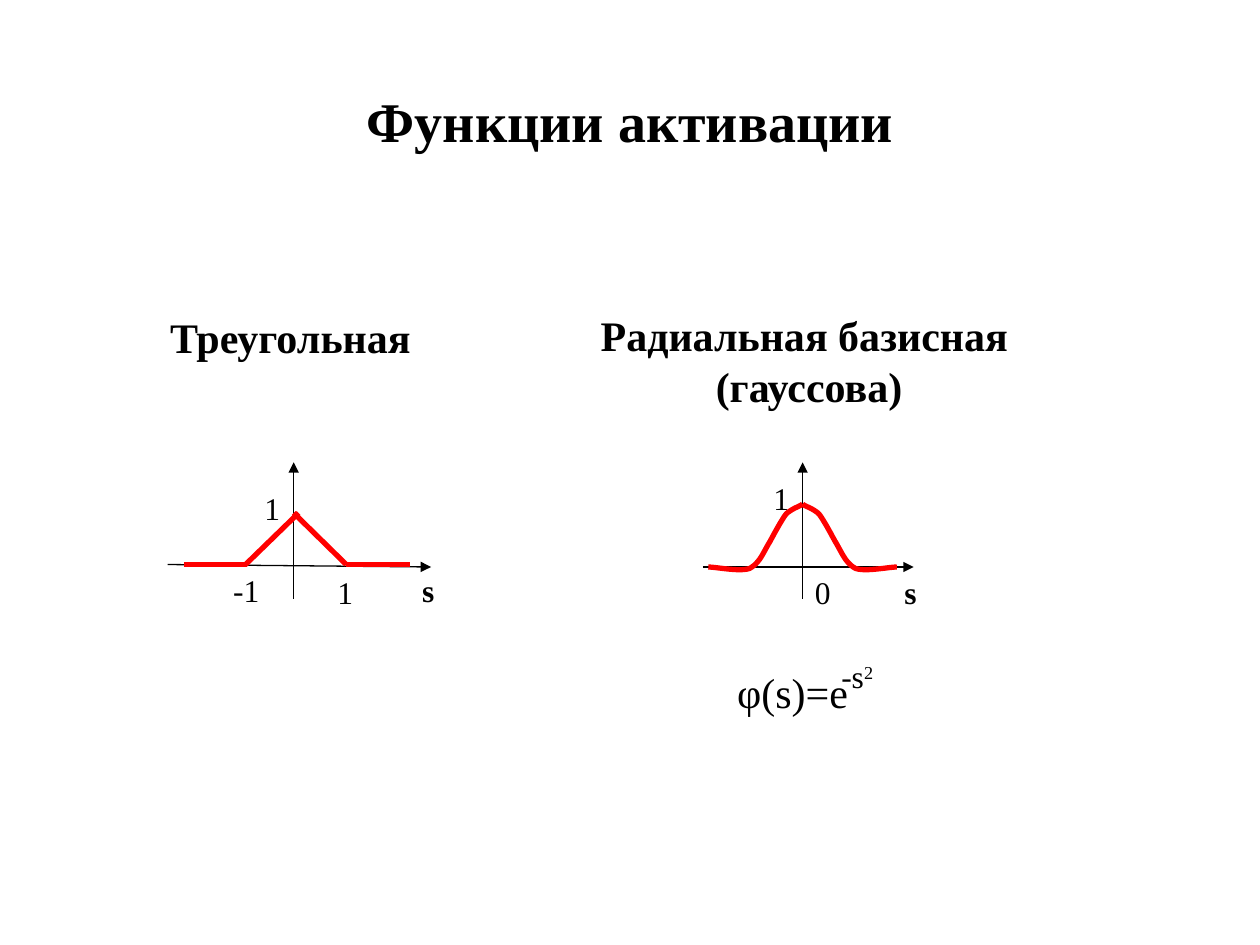
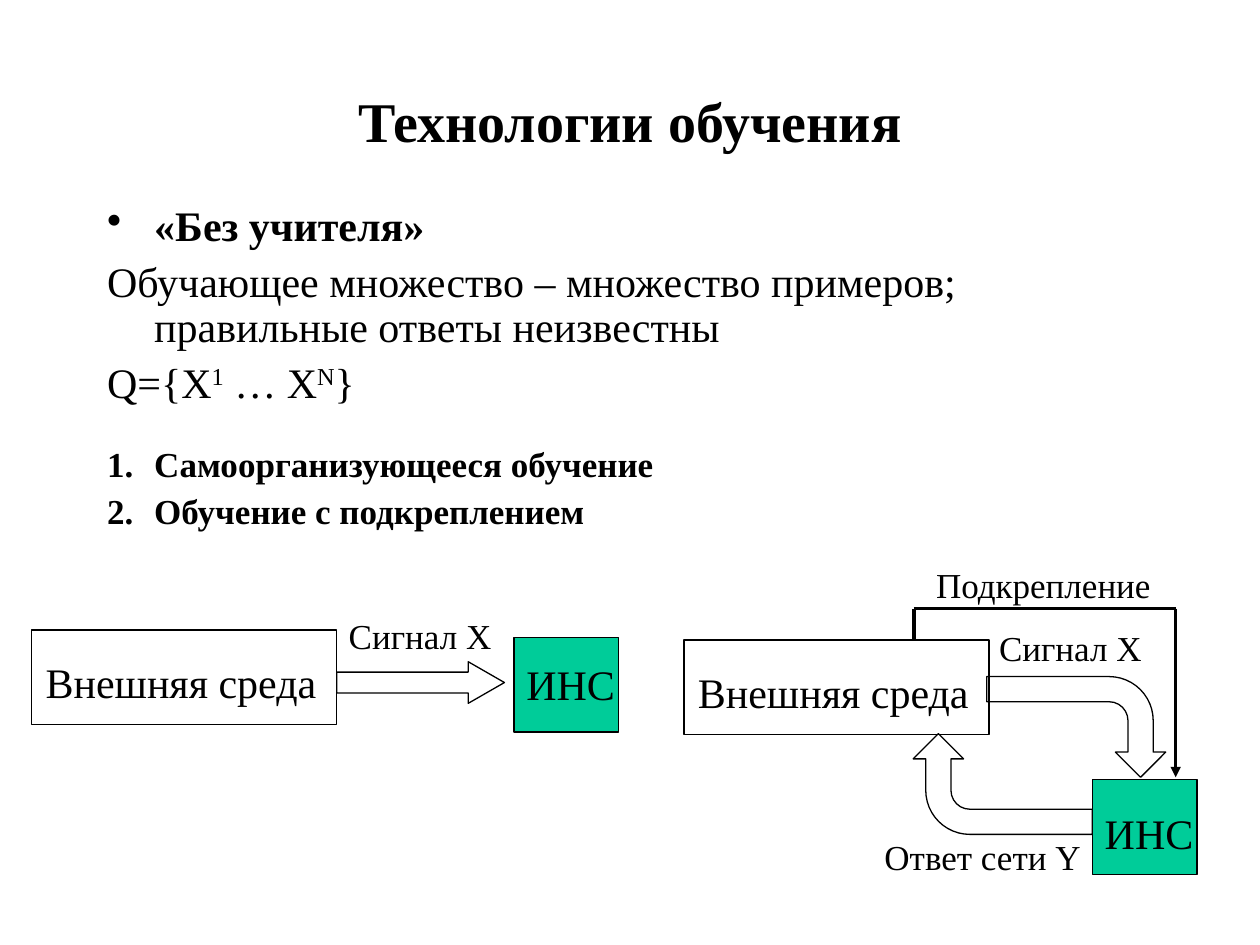
from dataclasses import dataclass

from lxml.etree import SubElement
from pptx import Presentation
from pptx.dml.color import RGBColor
from pptx.enum.shapes import MSO_CONNECTOR as Link, MSO_SHAPE as Shape
from pptx.enum.text import MSO_ANCHOR as Anchor, MSO_AUTO_SIZE as Fit, PP_ALIGN as Align
from pptx.oxml.ns import qn
from pptx.util import Cm, Pt


@dataclass(frozen=True)
class Theme:
    font: str = "Times New Roman"
    ink: RGBColor = RGBColor(0x00, 0x00, 0x00)
    curve: RGBColor = RGBColor(0xFF, 0x00, 0x00)
    network: RGBColor = RGBColor(0x00, 0xCC, 0x99)
    title: int = 32
    text: int = 24
    label: int = 20
    mark: int = 18
    thin: float = 0.75
    medium: float = 2
    thick: float = 3


THEME = Theme()
GAUSS_START = (-1.9, 0)
GAUSS_CURVES = [
    ((-1.75, 0), (-1.27, 0.1), (-1.07, 0.03)),
    ((-0.86, -0.08), (-0.79, -0.3), (-0.66, -0.51)),
    ((-0.56, -0.69), (-0.43, -0.94), (-0.33, -1.07)),
    ((-0.2, -1.19), (-0.05, -1.22), (0, -1.27)),
]


def add_frame(slide, left, top, width, height, grow=True):
    frame = slide.shapes.add_textbox(Cm(left), Cm(top), Cm(width), Cm(height)).text_frame
    frame.word_wrap = True
    frame.auto_size = Fit.SHAPE_TO_FIT_TEXT if grow else Fit.NONE
    return frame


def write(paragraph, text, size, bold=False):
    font = paragraph.font
    font.name, font.size, font.bold = THEME.font, Pt(size), bold
    font.color.rgb = THEME.ink
    for index, part in enumerate(text.split("^")):
        if part:
            run = paragraph.add_run()
            run.text = part
            if index % 2:
                run._r.get_or_add_rPr().set("baseline", "30000")


def add_text(slide, text, left, top, width, height, size, bold=False, spacing=None):
    paragraph = add_frame(slide, left, top, width, height).paragraphs[0]
    paragraph.line_spacing = spacing
    write(paragraph, text, size, bold)


def add_title(slide, text):
    frame = add_frame(slide, 1.91, 0.84, 21.59, 3.18, grow=False)
    frame.vertical_anchor = Anchor.MIDDLE
    paragraph = frame.paragraphs[0]
    paragraph.alignment = Align.CENTER
    write(paragraph, text, THEME.title, True)


def add_line(slide, start, end, color=THEME.ink, weight=THEME.thin, arrow=False):
    ends = [Cm(value) for value in (*start, *end)]
    connector = slide.shapes.add_connector(Link.STRAIGHT, *ends)
    connector.line.color.rgb = color
    connector.line.width = Pt(weight)
    if arrow:
        SubElement(connector.line._get_or_add_ln(), qn("a:tailEnd"), type="triangle")
    SubElement(connector._element.spPr, qn("a:effectLst"))


def add_outline(slide, kind, left, top, width, height, fill=None, rotation=0):
    outline = slide.shapes.add_shape(kind, Cm(left), Cm(top), Cm(width), Cm(height))
    outline.shadow.inherit = False
    outline.line.color.rgb = THEME.ink
    outline.line.width = Pt(THEME.thin)
    outline.rotation = rotation
    if fill is None:
        outline.fill.background()
    else:
        outline.fill.solid()
        outline.fill.fore_color.rgb = fill
    return outline


def add_axes(slide, left, right, baseline, origin):
    add_line(slide, (left, baseline), (right, 11.43), arrow=True)
    add_line(slide, (origin, 12.07), (origin, 9.32), arrow=True)


def add_marks(slide, marks):
    for text, left, top in marks:
        is_axis = text == "s"
        add_text(slide, text, left, top, 0.84 if is_axis else 1.27, 1.02, THEME.mark, is_axis)


def bezier(points, t):
    weights = ((1 - t) ** 3, 3 * t * (1 - t) ** 2, 3 * t * t * (1 - t), t ** 3)
    return tuple(sum(w * p[axis] for w, p in zip(weights, points)) for axis in (0, 1))


def add_gauss_half(slide, origin, baseline, side, steps=12):
    trace, start = [GAUSS_START], GAUSS_START
    for curve in GAUSS_CURVES:
        trace += [bezier((start, *curve), step / steps) for step in range(1, steps + 1)]
        start = curve[-1]
    points = [(Cm(origin + side * x), Cm(baseline + y)) for x, y in trace]
    builder = slide.shapes.build_freeform(*points[0])
    builder.add_line_segments(points[1:], close=False)
    half = builder.convert_to_shape()
    half.shadow.inherit = False
    half.fill.background()
    half.line.color.rgb = THEME.curve
    half.line.width = Pt(THEME.thick)


def add_radial_heading(slide):
    frame = add_frame(slide, 11.86, 6.55, 9.09, 1.8)
    for text, indent in (("Радиальная базисная", 0), ("(гауссова)", 2.32)):
        paragraph = frame.add_paragraph() if indent else frame.paragraphs[0]
        paragraph.line_spacing = 0.5
        paragraph.space_before = Pt(15)
        paragraph._p.get_or_add_pPr().set("marL", str(Cm(indent)))
        write(paragraph, text, THEME.text, True)


def add_activation_slide(slide):
    add_title(slide, "Функции активации")
    add_text(slide, "Треугольная", 3.18, 6.15, 5.92, 1.27, THEME.text, True)
    add_radial_heading(slide)

    add_axes(slide, 3.38, 8.69, 11.38, 5.92)
    for start, end in (
        ((3.71, 11.38), (4.98, 11.38)),
        ((4.95, 11.38), (6.02, 10.34)),
        ((6.98, 11.38), (5.92, 10.34)),
        ((6.98, 11.38), (8.26, 11.38)),
    ):
        add_line(slide, start, end, THEME.curve, THEME.thick)
    add_marks(slide, [("1", 5.08, 9.73), ("1", 6.55, 11.43),
                      ("-1", 4.45, 11.38), ("s", 8.26, 11.38)])

    add_axes(slide, 14.17, 18.42, 11.43, 16.18)
    for side in (1, -1):
        add_gauss_half(slide, 16.18, 11.43, side)
    add_marks(slide, [("1", 15.34, 9.53), ("0", 16.18, 11.43), ("s", 17.98, 11.43)])

    add_text(slide, "φ(s)=e", 14.61, 13.54, 2.97, 1.02, THEME.text, spacing=0.75)
    add_text(slide, "-s^2^", 16.71, 13.13, 1.7, 1.02, THEME.mark)


def add_bullet(paragraph, bullet):
    properties = paragraph._p.get_or_add_pPr()
    properties.set("marL", str(Cm(0.95)))
    properties.set("indent", str(-Cm(0.95)))
    if bullet == "number":
        SubElement(properties, qn("a:buFont"), typeface="+mj-lt")
        SubElement(properties, qn("a:buAutoNum"), type="arabicPeriod")
    elif bullet:
        SubElement(properties, qn("a:buChar"), char=bullet)
    else:
        SubElement(properties, qn("a:buNone"))


def add_theses(slide):
    frame = add_frame(slide, 1.91, 4.01, 21.59, 10.16, grow=False)
    theses = [
        ("«Без учителя»", "•", THEME.text, True, 0),
        ("Обучающее множество – множество примеров; правильные ответы неизвестны",
         None, THEME.text, False, 0),
        ("Q={X^1^ … X^N^}", None, THEME.text, False, 18),
        ("Самоорганизующееся обучение", "number", THEME.label, True, 0),
        ("Обучение с подкреплением", "number", THEME.label, True, 0),
    ]
    for index, (text, bullet, size, bold, after) in enumerate(theses):
        paragraph = frame.add_paragraph() if index else frame.paragraphs[0]
        paragraph.line_spacing = 0.9
        paragraph.space_before = Pt(size / 4)
        paragraph.space_after = Pt(after)
        add_bullet(paragraph, bullet)
        write(paragraph, text, size, bold)


def add_environment(slide, left, top):
    add_outline(slide, Shape.RECTANGLE, left, top, 6.15, 1.91)
    add_text(slide, "Внешняя среда", left + 0.03, top + 0.41, 6.15, 1.27, THEME.text)


def add_network(slide, left, top, drop):
    add_outline(slide, Shape.RECTANGLE, left, top, 2.11, 1.91, THEME.network)
    add_text(slide, "ИНС", left, top + drop, 2.74, 1.27, THEME.text)


def add_learning_slide(slide):
    add_title(slide, "Технологии обучения")
    add_theses(slide)

    add_network(slide, 10.36, 12.85, 0.3)
    signal = add_outline(slide, Shape.RIGHT_ARROW, 6.79, 13.34, 3.38, 0.84)
    signal.adjustments[1] = 0.87
    add_environment(slide, 0.64, 12.7)

    add_network(slide, 22.02, 15.72, 0.43)
    add_environment(slide, 13.79, 12.9)
    for left, top, rotation in ((20.68, 12.85, 90), (19.2, 14, 270)):
        add_outline(slide, Shape.BENT_ARROW, left, top, 2.03, 3.61, rotation=rotation)

    feedback = [(18.42, 12.9), (18.42, 12.27), (23.7, 12.27), (23.7, 15.67)]
    for start, end in zip(feedback, feedback[1:]):
        add_line(slide, start, end, weight=THEME.medium, arrow=end == feedback[-1])

    for text, left, top, width in (
        ("Сигнал X", 6.78, 12.27, 3.6),
        ("Сигнал X", 19.89, 12.5, 3.6),
        ("Ответ сети Y", 17.58, 16.71, 5.28),
        ("Подкрепление", 18.62, 11.23, 5.05),
    ):
        add_text(slide, text, left, top, width, 1.12, THEME.label)


def main():
    deck = Presentation()
    deck.slide_width, deck.slide_height = Cm(25.4), Cm(19.05)
    blank = deck.slide_layouts[6]
    for fill_slide in (add_activation_slide, add_learning_slide):
        fill_slide(deck.slides.add_slide(blank))
    deck.save("out.pptx")


if __name__ == "__main__":
    main()
